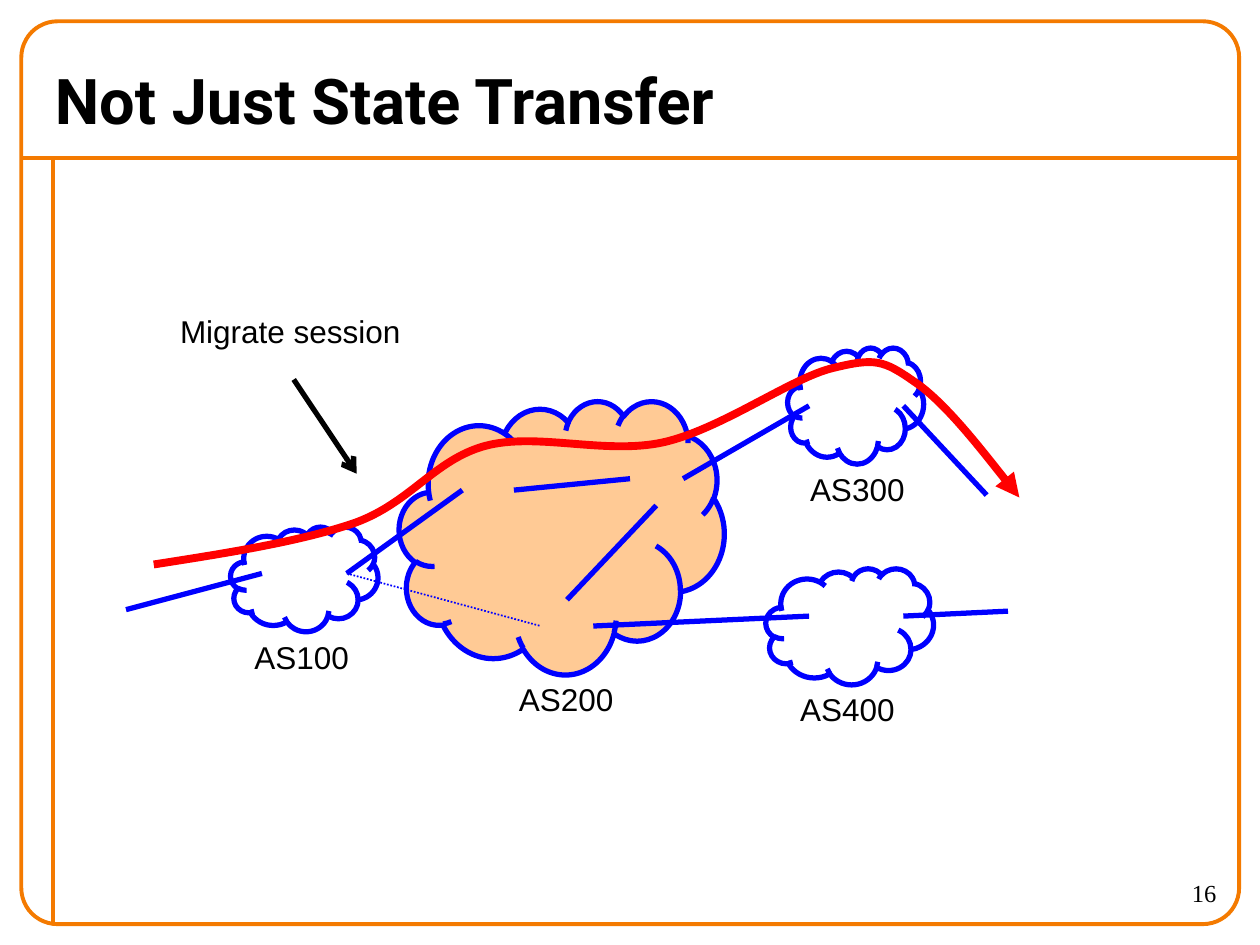
from lxml.etree import SubElement
from pptx import Presentation
from pptx.dml.color import RGBColor
from pptx.enum.dml import MSO_LINE
from pptx.enum.shapes import MSO_CONNECTOR, MSO_SHAPE
from pptx.enum.text import MSO_ANCHOR, MSO_AUTO_SIZE, PP_ALIGN
from pptx.oxml.ns import qn
from pptx.util import Cm, Pt

ORANGE, BLUE, RED, BLACK, PEACH = "F47A00", "0000FF", "FF0000", "000000", "FFCA95"

TITLE = "Not Just State Transfer"
PAGE_NUMBER = "16"
FRAME = (0.43, 0.43, 24.55, 18.2)
RULES = [(0.43, 3.18, 24.97, 3.18), (1.06, 3.18, 1.06, 18.62)]

# name, cloud box, fill, label position
NETWORKS = [
    ("AS100", (4.65, 10.62, 2.97, 2.11), None, (4.88, 12.73)),
    ("AS200", (8.05, 8.08, 6.55, 5.51), PEACH, (10.21, 13.59)),
    ("AS400", (15.44, 11.46, 3.38, 2.34), None, (15.88, 13.79)),
    ("AS300", (15.88, 7.01, 2.74, 2.34), None, (16.08, 9.35)),
]
LINKS = [
    (2.54, 12.29, 5.28, 11.56),
    (18.21, 8.18, 19.89, 9.98),
    (6.99, 11.56, 9.32, 9.88),
    (13.77, 9.65, 16.31, 8.18),
    (18.21, 12.42, 20.32, 12.32),
    (10.36, 9.88, 12.7, 9.65),
    (13.23, 10.19, 11.43, 12.09),
    (11.96, 12.62, 16.31, 12.42),
]
OLD_LINK = (6.99, 11.56, 10.9, 12.62)
MIGRATE_ARROW = (5.92, 7.65, 7.19, 9.55)
MIGRATE_LABEL = ("Migrate session", (3.38, 6.17, 5, 1.02))

# start point, then two control points and an end point per curve
TRAFFIC = [
    (3.1, 11.38),
    (4.57, 11.15), (6.05, 10.92), (7.16, 10.54),
    (8.28, 10.13), (8.76, 9.27), (9.78, 8.99),
    (10.82, 8.71), (12.19, 9.17), (13.36, 8.92),
    (14.53, 8.66), (15.95, 7.62), (16.79, 7.42),
    (17.65, 7.21), (17.81, 7.26), (18.44, 7.7),
    (19.08, 8.13), (20.55, 10.03), (20.55, 10.03),
]


def rgb(color):
    return RGBColor.from_string(color)


def cms(values):
    return [Cm(v) for v in values]


def set_line(sp, color, width, arrow=None):
    sp.line.color.rgb = rgb(color)
    sp.line.width = Pt(width)
    if arrow:
        SubElement(sp.line._get_or_add_ln(), qn("a:tailEnd"), type=arrow)


def set_font(p, name, size, bold=False):
    p.font.name, p.font.size, p.font.bold = name, Pt(size), bold
    p.font.color.rgb = rgb(BLACK)


def add_line(ends, color, width, arrow=None):
    c = slide.shapes.add_connector(MSO_CONNECTOR.STRAIGHT, *cms(ends))
    set_line(c, color, width, arrow)
    SubElement(c._element.spPr, qn("a:effectLst"))
    return c


def add_outline(kind, box, color, width, fill=None):
    sp = slide.shapes.add_shape(kind, *cms(box))
    sp.shadow.inherit = False
    if fill:
        sp.fill.solid()
        sp.fill.fore_color.rgb = rgb(fill)
    else:
        sp.fill.background()
    set_line(sp, color, width)
    return sp


def add_label(text, box):
    tf = slide.shapes.add_textbox(*cms(box)).text_frame
    tf.word_wrap = False
    tf.auto_size = MSO_AUTO_SIZE.SHAPE_TO_FIT_TEXT
    tf.text = text
    set_font(tf.paragraphs[0], "Arial", 18)


def add_curve(points, color, width, arrow):
    """Draw a chain of cubic curves by regrouping straight segments in threes."""
    start, *rest = [cms(pt) for pt in points]
    builder = slide.shapes.build_freeform(*start)
    builder.add_line_segments(rest, close=False)
    sp = builder.convert_to_shape()
    segments = list(sp._element.iter(qn("a:lnTo")))
    for i in range(0, len(segments), 3):
        curve = SubElement(segments[i].getparent(), qn("a:cubicBezTo"))
        for segment in segments[i:i + 3]:
            curve.append(segment[0])
            segment.getparent().remove(segment)
    sp.shadow.inherit = False
    sp.fill.background()
    set_line(sp, color, width, arrow)


prs = Presentation()
prs.slide_width, prs.slide_height = Cm(25.4), Cm(19.05)
slide = prs.slides.add_slide(prs.slide_layouts[5])

for rule in RULES:
    add_line(rule, ORANGE, 2.25)
frame = add_outline(MSO_SHAPE.ROUNDED_RECTANGLE, FRAME, ORANGE, 2.25)
frame.adjustments[0] = 0.04

title = slide.shapes.title
title.left, title.top, title.width, title.height = cms((0.85, 1.06, 22.4, 1.9))
tf = title.text_frame
tf.text = TITLE
tf.vertical_anchor = MSO_ANCHOR.MIDDLE
tf.paragraphs[0].alignment = PP_ALIGN.LEFT
set_font(tf.paragraphs[0], "Roboto", 36, bold=True)

tf = slide.shapes.add_textbox(*cms((22.23, 17.57, 2.54, 1.06))).text_frame
tf.word_wrap = True
tf.text = PAGE_NUMBER
tf.paragraphs[0].alignment = PP_ALIGN.RIGHT
set_font(tf.paragraphs[0], "Times New Roman", 14)

add_line(MIGRATE_ARROW, BLACK, 3, "arrow")
add_label(*MIGRATE_LABEL)

for name, box, fill, (x, y) in NETWORKS:
    add_outline(MSO_SHAPE.CLOUD, box, BLUE, 3, fill)
    add_label(name, (x, y, 2.44, 1.02))
for link in LINKS:
    add_line(link, BLUE, 3)
add_line(OLD_LINK, BLUE, 1).line.dash_style = MSO_LINE.ROUND_DOT
add_curve(TRAFFIC, RED, 4.5, "triangle")

prs.save("out.pptx")
